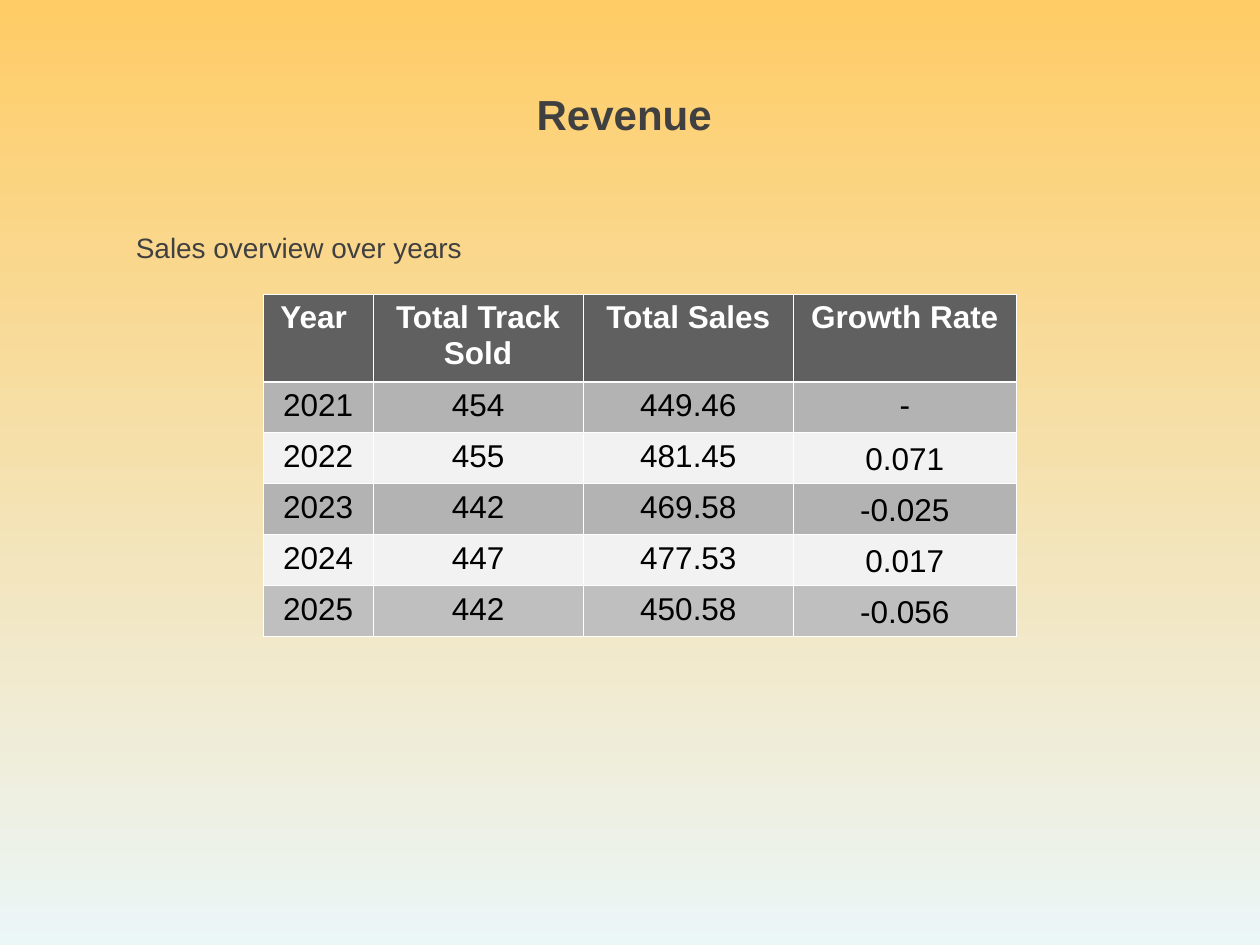
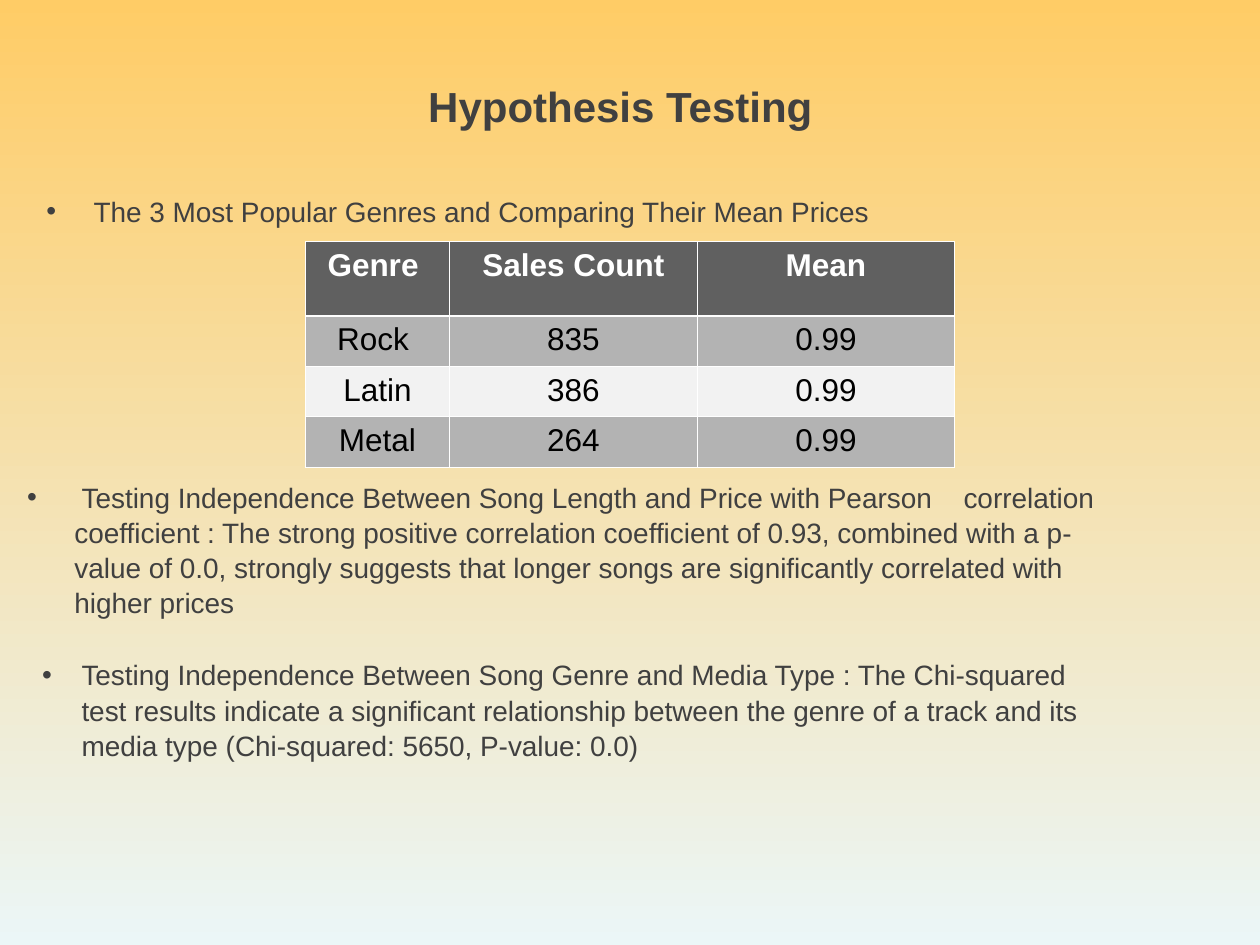
from pptx import Presentation
from pptx.dml.color import RGBColor
from pptx.enum.text import MSO_ANCHOR, MSO_AUTO_SIZE, PP_ALIGN
from pptx.oxml.ns import qn
from pptx.util import Pt
from lxml.etree import SubElement

DARK, WHITE, BLACK = "404040", "FFFFFF", "000000"
SKY = ("FFCC66", "EBF6F7")
HEADER_FILL, BANDS, LAST_YEAR_FILL = "606060", ("B3B3B3", "F2F2F2"), "BFBFBF"
THIN, THICK = 0.45, 1.47

TITLE = {"size": Pt(24), "bold": True}
BODY = {"size": Pt(16), "bold": False}
CELL = {"size": Pt(18), "bold": False}
HEADER = {"size": Pt(18), "bold": True}

# Boxes are (left, top, width, height); a text is a list of (words, extra letter spacing).
SLIDES = [
    {
        "title": ("Revenue ", (180, 45.4, 360, 36)),
        "table": {
            "corner": (150.5, 168),
            "columns": (62.6, 120.2, 120.2, 127.2),
            "heights": (50.2, 29.15),
            "rows": [
                ("Year ", "Total Track Sold", "Total Sales", "Growth Rate"),
                ("2021", "454", "449.46", "-"),
                ("2022", "455", "481.45", "0.071"),
                ("2023", "442", "469.58", "-0.025"),
                ("2024", "447", "477.53", "0.017"),
                ("2025", "442", "450.58", "-0.056"),
            ],
            "last_fill": LAST_YEAR_FILL,
            "low_cells": [(row, 3) for row in range(2, 6)],
        },
        "texts": [
            {"box": (70.6, 127, 360, 27), "spans": [("Sales overview over years", 0)]},
        ],
    },
    {
        "title": ("Hypothesis Testing", (105, 41, 499, 36)),
        "table": {
            "corner": (174.6, 138.2),
            "columns": (82.2, 141.8, 146.8),
            "heights": (42.4, 28.8),
            "rows": [
                ("Genre ", "Sales Count", "Mean"),
                ("Rock ", "835", "0.99"),
                ("Latin", "386", "0.99"),
                ("Metal", "264", "0.99"),
            ],
        },
        "texts": [
            {"box": (19.4, 106.6, 641, 27), "indent": 27, "spans": [
                ("The 3 Most Popular Genres and Comparing Their Mean Prices", 0)]},
            {"box": (8.4, 270, 641, 104), "indent": 27, "spans": [
                (" Testing Independence Between Song Length and Price with Pearson", 0),
                (" ", 13.3),
                ("correlation coefficient : The strong positive correlation coefficient "
                 "of 0.93, combined with a p-value of 0.0, strongly suggests that longer "
                 "songs are significantly correlated with higher prices", 0)]},
            {"box": (17, 371.5, 623.5, 84), "indent": 22.5, "spans": [
                ("Testing Independence Between Song Genre and Media Type : The Chi-squared "
                 "test results indicate a significant relationship between the genre of a "
                 "track and its media type (Chi-squared: 5650, P-value: 0.0)", 0)]},
        ],
    },
]


def color(hex_string):
    return RGBColor.from_string(hex_string)


def set_all(target, values):
    for name, value in values.items():
        setattr(target, name, value)


def add_span(para, words, style, hex_color, spacing=0):
    span = para.add_run()
    span.text = words
    set_all(span.font, {"name": "Arial", **style})
    span.font.color.rgb = color(hex_color)
    if spacing:
        span.font._element.set("spc", str(round(spacing * 100)))


def prepare_frame(frame):
    set_all(frame, {
        "word_wrap": True, "auto_size": MSO_AUTO_SIZE.NONE,
        "vertical_anchor": MSO_ANCHOR.TOP,
        "margin_left": Pt(7.2), "margin_right": Pt(7.2),
        "margin_top": Pt(3.6), "margin_bottom": Pt(3.6),
    })
    para = frame.paragraphs[0]
    para.line_spacing = 1.05
    return para


def add_bullet(para, indent):
    properties = para._p.get_or_add_pPr()
    properties.set("marL", str(Pt(indent)))
    properties.set("indent", str(-Pt(indent)))
    bullet_color = SubElement(properties, qn("a:buClr"))
    SubElement(bullet_color, qn("a:srgbClr"), val=DARK)
    SubElement(properties, qn("a:buFont"), typeface="Arial")
    SubElement(properties, qn("a:buChar"), char="•")


def add_title(page, words, place):
    title = page.shapes.title
    set_all(title, dict(zip(("left", "top", "width", "height"), map(Pt, place))))
    para = prepare_frame(title.text_frame)
    para.alignment = PP_ALIGN.CENTER
    add_span(para, words, TITLE, DARK)


def add_text(page, box, spans, indent=0):
    para = prepare_frame(page.shapes.add_textbox(*map(Pt, box)).text_frame)
    if indent:
        add_bullet(para, indent)
    for words, spacing in spans:
        add_span(para, words, BODY, DARK, spacing)


def add_borders(cell, row):
    """Draw white borders, with a thicker rule between header and body."""
    widths = {"a:lnL": THIN, "a:lnR": THIN,
              "a:lnT": THICK if row == 1 else THIN,
              "a:lnB": THICK if row == 0 else THIN}
    properties = cell._tc.get_or_add_tcPr()
    for side, width in widths.items():
        line = SubElement(properties, qn(side), w=str(Pt(width)))
        fill = SubElement(line, qn("a:solidFill"))
        SubElement(fill, qn("a:srgbClr"), val=WHITE)


def add_data_table(page, corner, columns, heights, rows, last_fill=None, low_cells=()):
    header_height, row_height = heights
    total_height = header_height + row_height * (len(rows) - 1)
    table = page.shapes.add_table(len(rows), len(columns), *map(
        Pt, (*corner, sum(columns), total_height))).table
    for column, width in zip(table.columns, columns):
        column.width = Pt(width)
    for row, values in enumerate(rows):
        table.rows[row].height = Pt(row_height if row else header_height)
        row_fill = BANDS[(row - 1) % 2] if row else HEADER_FILL
        if last_fill and row == len(rows) - 1:
            row_fill = last_fill
        for column, value in enumerate(values):
            cell = table.cell(row, column)
            add_borders(cell, row)
            cell.fill.solid()
            cell.fill.fore_color.rgb = color(row_fill)
            if (row, column) in low_cells:
                set_all(cell, {"vertical_anchor": MSO_ANCHOR.BOTTOM,
                               "margin_left": Pt(0.75), "margin_right": Pt(0.75)})
            para = cell.text_frame.paragraphs[0]
            para.alignment = PP_ALIGN.CENTER
            add_span(para, value, CELL if row else HEADER, BLACK if row else WHITE)


def paint_background(master):
    fill = master.background.fill
    fill.gradient()
    fill.gradient_angle = 270
    for stop, hex_color in zip(fill.gradient_stops, SKY):
        stop.color.rgb = color(hex_color)


def main():
    deck = Presentation()
    deck.slide_width, deck.slide_height = Pt(720), Pt(540)
    paint_background(deck.slide_master)
    for content in SLIDES:
        page = deck.slides.add_slide(deck.slide_layouts[5])
        add_title(page, *content["title"])
        add_data_table(page, **content["table"])
        for text in content["texts"]:
            add_text(page, **text)
    deck.save("out.pptx")


if __name__ == "__main__":
    main()
